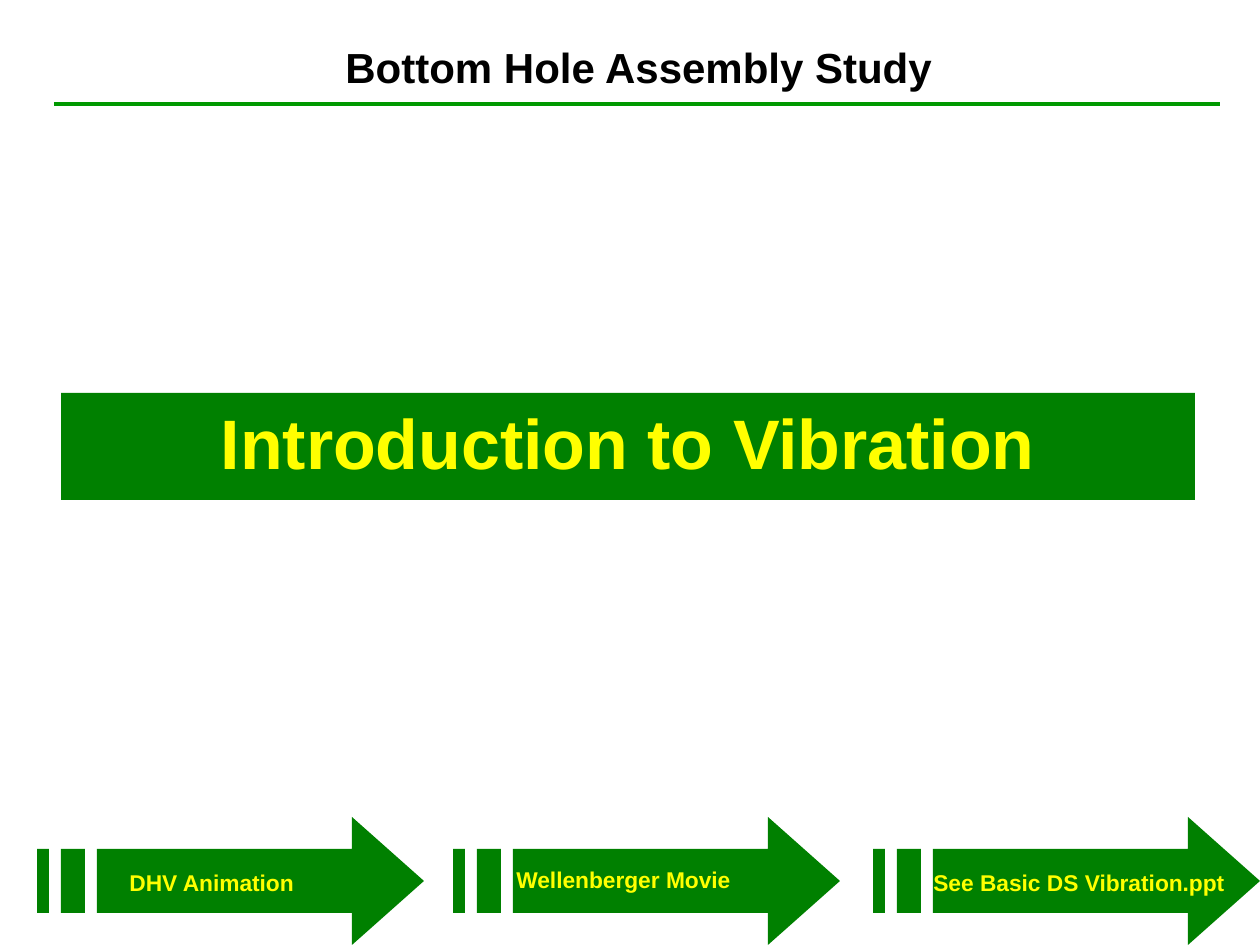
from typing import NamedTuple

from lxml import etree
from pptx import Presentation
from pptx import util as u
from pptx.dml.color import RGBColor
from pptx.enum import shapes, text
from pptx.oxml.ns import qn

SCALE = 914400 / 126  # EMU in one px
BLACK = RGBColor(0x00, 0x00, 0x00)
YELLOW = RGBColor(0xFF, 0xFF, 0x00)
GREEN = RGBColor(0x00, 0x80, 0x00)
RULE_GREEN = RGBColor(0x00, 0x99, 0x00)

HEADING = {"name": "Arial", "size": u.Pt(24), "bold": True}
TITLE = {"name": "Arial", "size": u.Pt(40), "bold": True}
LABEL = {"name": "Arial", "size": u.Pt(13), "bold": True}

ARROW_TOP = 817
ARROW_HEAD = [(315, 0), (315, 32), (60, 32), (60, 96), (315, 96), (315, 128), (387, 64)]
STRIPES = [(24, 48), (0, 12)]


class Box(NamedTuple):
    left: int
    top: int
    width: int
    height: int


class ArrowLink(NamedTuple):
    left: int
    label: str
    label_box: Box


ARROW_LINKS = [
    ArrowLink(37, "DHV Animation", Box(117, 863, 200, 40)),
    ArrowLink(453, "Wellenberger Movie", Box(504, 860, 249, 40)),
    ArrowLink(873, "See Basic DS Vibration.ppt", Box(921, 863, 317, 40)),
]


def px(length: int) -> u.Emu:
    return u.Emu(round(length * SCALE))


def write(paragraph, content: str, font_format: dict, color: RGBColor) -> None:
    paragraph.text = content
    for name, value in font_format.items():
        setattr(paragraph.font, name, value)
    paragraph.font.color.rgb = color


def add_text(slide, box: Box, content: str, font_format: dict, color: RGBColor) -> None:
    frame = slide.shapes.add_textbox(*map(px, box)).text_frame
    frame.word_wrap = False
    frame.auto_size = text.MSO_AUTO_SIZE.SHAPE_TO_FIT_TEXT
    write(frame.paragraphs[0], content, font_format, color)


def add_heading(slide) -> None:
    add_text(slide, Box(333, 35, 614, 63), "Bottom Hole Assembly Study", HEADING, BLACK)
    rule = slide.shapes.add_connector(
        shapes.MSO_CONNECTOR.STRAIGHT, px(54), px(104), px(1220), px(104)
    )
    rule.line.color.rgb = RULE_GREEN
    rule.line.width = u.Pt(2.25)
    etree.SubElement(rule._element.spPr, qn("a:effectLst"))


def fill_title(slide) -> None:
    title = slide.shapes.title
    title.left, title.top, title.width, title.height = map(px, Box(61, 393, 1134, 107))
    title.fill.solid()
    title.fill.fore_color.rgb = GREEN
    title.text_frame.vertical_anchor = text.MSO_ANCHOR.MIDDLE
    title.text_frame.margin_bottom = px(16)
    paragraph = title.text_frame.paragraphs[0]
    write(paragraph, "Introduction to Vibration", TITLE, YELLOW)
    paragraph.alignment = text.PP_ALIGN.CENTER


def add_striped_arrow(slide, left: int) -> None:
    outlines = [ARROW_HEAD] + [
        [(start, 32), (start, 96), (end, 96), (end, 32)] for start, end in STRIPES
    ]
    builder = slide.shapes.build_freeform(*outlines[0][0], scale=SCALE)
    for index, (start, *rest) in enumerate(outlines):
        if index:
            builder.move_to(*start)
        builder.add_line_segments(rest, close=True)
    arrow = builder.convert_to_shape(px(left), px(ARROW_TOP))
    arrow.shadow.inherit = False
    arrow.fill.solid()
    arrow.fill.fore_color.rgb = GREEN
    arrow.line.fill.background()


def main() -> None:
    presentation = Presentation()
    presentation.slide_width, presentation.slide_height = px(1260), px(945)
    slide = presentation.slides.add_slide(presentation.slide_layouts[5])
    add_heading(slide)
    fill_title(slide)
    for link in ARROW_LINKS:
        add_striped_arrow(slide, link.left)
        add_text(slide, link.label_box, link.label, LABEL, YELLOW)
    presentation.save("out.pptx")


if __name__ == "__main__":
    main()
